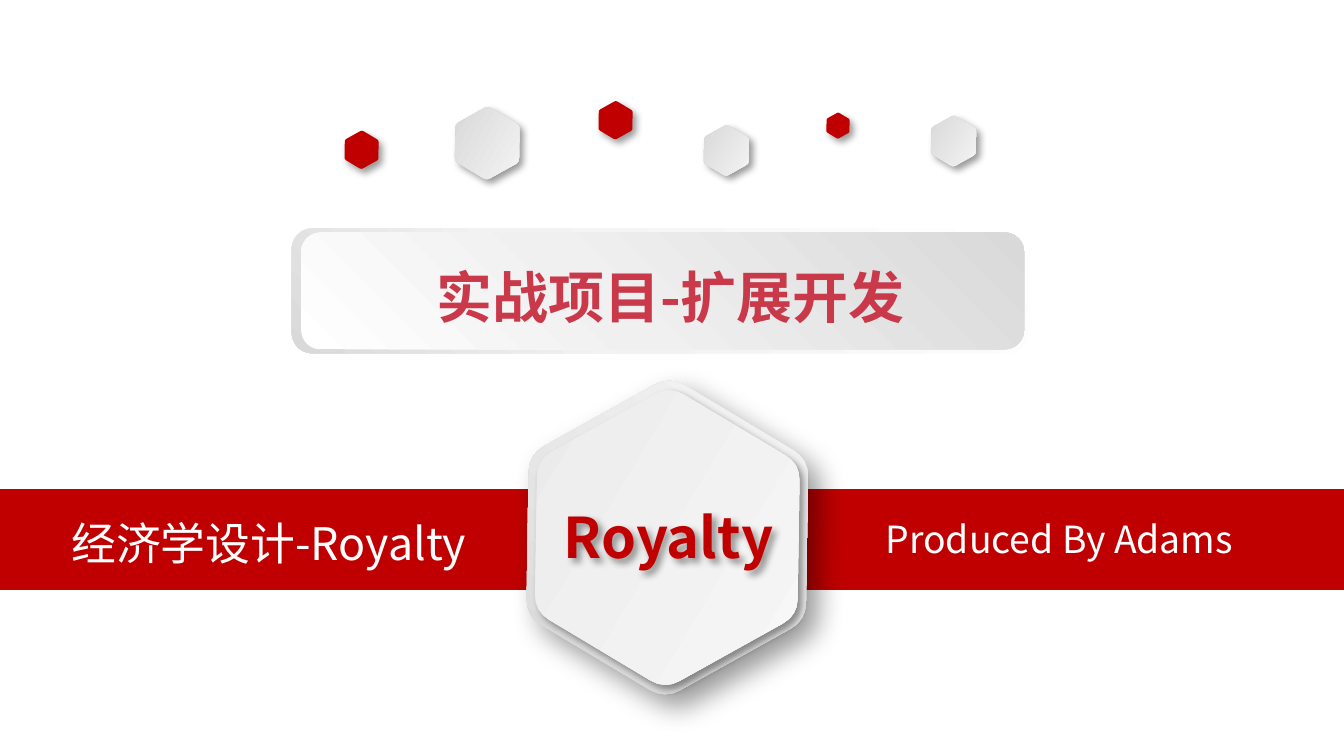
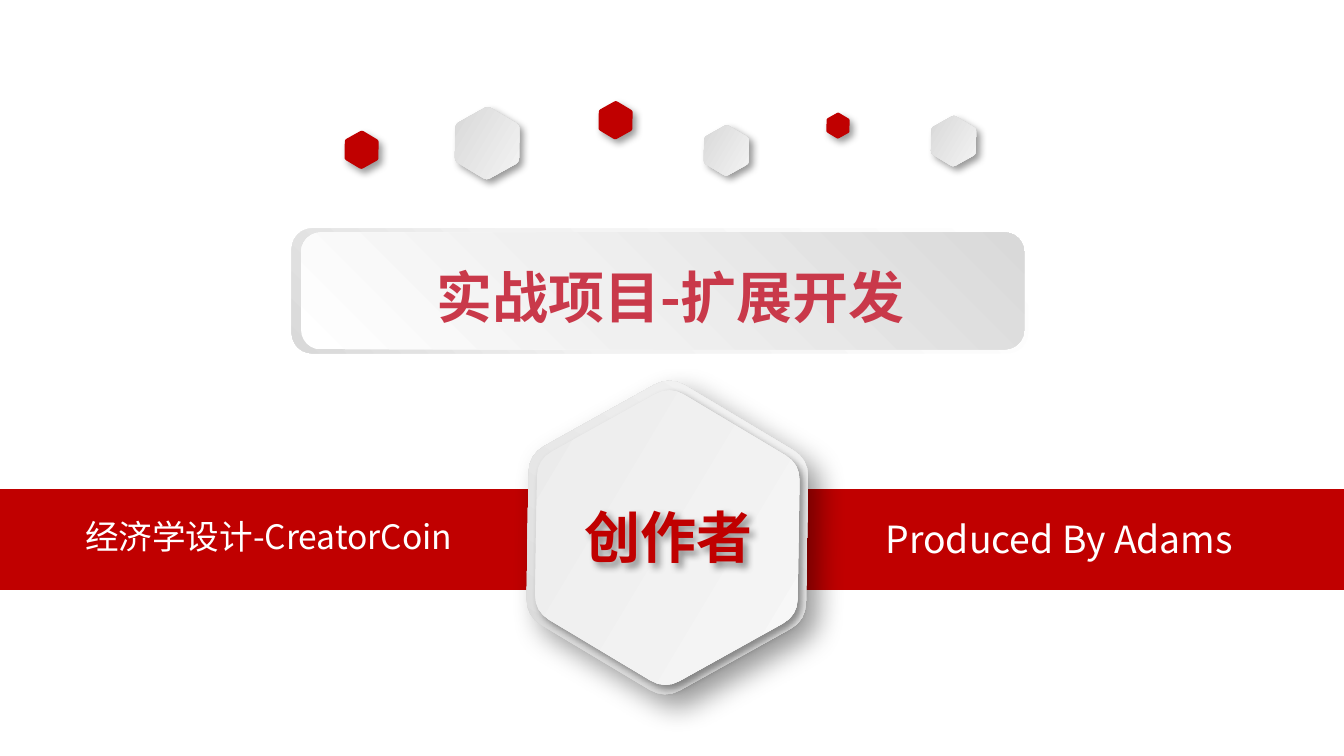
from math import cos, radians, sin, sqrt

from lxml import etree
from pptx import Presentation
from pptx.dml.color import RGBColor
from pptx.enum.shapes import MSO_SHAPE
from pptx.enum.text import MSO_ANCHOR, MSO_AUTO_SIZE, PP_ALIGN
from pptx.oxml import parse_xml
from pptx.oxml.ns import nsdecls, qn
from pptx.util import Inches, Pt

RECT, ROUND = MSO_SHAPE.RECTANGLE, MSO_SHAPE.ROUNDED_RECTANGLE
LEFT, CENTER = PP_ALIGN.LEFT, PP_ALIGN.CENTER
TOP, MIDDLE = MSO_ANCHOR.TOP, MSO_ANCHOR.MIDDLE

FONT = "Noto Sans CJK SC"
RED = RGBColor(0xC0, 0x00, 0x00)
ROSE = RGBColor(0xC9, 0x39, 0x4A)
WHITE = RGBColor(0xFF, 0xFF, 0xFF)
PALE = RGBColor(0xF9, 0xF9, 0xF9)
MIST = RGBColor(0xF2, 0xF2, 0xF2)
FOG = RGBColor(0xF0, 0xF0, 0xF0)
CLOUD = RGBColor(0xE9, 0xE9, 0xE9)
ASH = RGBColor(0xD9, 0xD9, 0xD9)
GREY = RGBColor(0xD3, 0xD3, 0xD3)

# Gradients: clockwise angle, then (percent, colour) stops
SILVER = (0, [(0, GREY), (100, PALE)])
RIM = (270, [(0, GREY), (100, PALE)])
FACE = (0, [(0, CLOUD), (100, PALE)])
FRAME = (135, [(0, WHITE), (62, MIST), (100, ASH)])
PLATE = (315, [(0, WHITE), (42, FOG), (100, ASH)])

# Shadows: blur and distance in points
SOFT, DEEP = (4, 3), (15, 9)

deck = Presentation()
deck.slide_width, deck.slide_height = Inches(10), Inches(5.625)
U = deck.slide_width // 100  # square grid, 100 columns wide

# Rounded hexagon of width 1 around the origin
TILT = 30.9
SIDE = 0.9 / sqrt(3)
TRIM = 0.11  # share of a side lost to each rounded corner
tips = [(SIDE * cos(radians(a)), SIDE * sin(radians(a)))
        for a in range(0, 360, 60)]
RING = []
for i, tip in enumerate(tips):
    start, end = [[t + (n - t) * TRIM for t, n in zip(tip, near)]
                  for near in (tips[i - 1], tips[(i + 1) % 6])]
    for s in (0, 0.25, 0.5, 0.75, 1):
        RING.append([(1 - s) ** 2 * a + 2 * s * (1 - s) * t + s * s * b
                     for a, t, b in zip(start, tip, end)])

# Column, row and width of each hexagon, with fill and shadow
HEXES = [
    (36.25, 10.65, 5.3, SILVER, SOFT),
    (45.8, 8.95, 2.8, RED, SOFT),
    (26.9, 11.15, 2.8, RED, SOFT),
    (54.05, 11.2, 3.7, SILVER, SOFT),
    (62.35, 9.35, 1.9, RED, SOFT),
    (70.95, 10.5, 3.7, SILVER, SOFT),
    (49.65, 40, 23.1, RIM, DEEP),
    (49.65, 40, 21.7, FACE, SOFT),
]


def paint(shape, fill=None, shade=None):
    """Set fill and shadow, without an outline."""
    shape.line.fill.background()
    shape.shadow.inherit = False
    props = shape._element.spPr
    shape.fill.background()
    if isinstance(fill, RGBColor):
        shape.fill.solid()
        shape.fill.fore_color.rgb = fill
    elif fill:
        turn, stops = fill
        marks = "".join(f'<a:gs pos="{p * 1000}"><a:srgbClr val="{c}"/></a:gs>'
                        for p, c in stops)
        props.replace(props.find(qn("a:noFill")), parse_xml(
            f'<a:gradFill {nsdecls("a")} rotWithShape="1"><a:gsLst>{marks}'
            f'</a:gsLst><a:lin ang="{turn * 60000}" scaled="0"/></a:gradFill>'))
    if shade:
        blur, dist = map(Pt, shade)
        props.find(qn("a:effectLst")).append(parse_xml(
            f'<a:outerShdw {nsdecls("a")} blurRad="{blur}" dist="{dist}" '
            'dir="2700000" algn="tl" rotWithShape="0"><a:srgbClr val="000000">'
            '<a:alpha val="40000"/></a:srgbClr></a:outerShdw>'))


def write(shape, text, size, color, bold=False, align=CENTER, anchor=TOP):
    """Put one styled line of text into a shape."""
    frame = shape.text_frame
    frame.text = text
    frame.word_wrap = True
    frame.auto_size = MSO_AUTO_SIZE.NONE
    frame.vertical_anchor = anchor
    line = frame.paragraphs[0]
    line.alignment = align
    font = line.font
    font.size, font.bold, font.name = Pt(size), bold, FONT
    font.color.rgb = color
    etree.SubElement(font._rPr, qn("a:ea"), typeface=FONT)


# Per slide: topic, its size and box height, badge word
SLIDES = [
    ("经济学设计-Royalty", 24, 5, "Royalty"),
    ("经济学设计-CreatorCoin", 18, 4, "创作者"),
]

for topic, size, tall, word in SLIDES:
    slide = deck.slides.add_slide(deck.slide_layouts[5])
    shapes = slide.shapes

    # Red band with topic and author
    band = shapes.add_shape(RECT, 0, 36.4 * U, 100 * U, 7.5 * U)
    paint(band, RED)
    box = shapes.add_textbox(2.4 * U, 37.9 * U, 35.2 * U, tall * U)
    write(box, topic, size, WHITE)
    box = shapes.add_textbox(64.9 * U, 37.9 * U, 35 * U, 4.4 * U)
    write(box, "Produced By Adams", 20, WHITE, align=LEFT)

    # Hexagons: scattered row and large badge
    for col, row, wide, fill, shade in HEXES:
        dots = [((col + x * wide) * U, (row + y * wide) * U) for x, y in RING]
        pen = shapes.build_freeform(*dots[0])
        pen.add_line_segments(dots[1:], close=True)
        tile = pen.convert_to_shape()
        tile.rotation = TILT
        paint(tile, fill, shade)

    # Title banner
    for x, y, w, h, fill in [(21.7, 17, 54.8, 9.3, FRAME),
                             (22.4, 17.3, 53.8, 8.7, PLATE)]:
        paint(shapes.add_shape(ROUND, x * U, y * U, w * U, h * U), fill)
    title = shapes.title
    title.left, title.top = int(22.5 * U), 19 * U
    title.width, title.height = int(54.8 * U), 6 * U
    write(title, "实战项目-扩展开发", 30, ROSE, bold=True)
    shapes._spTree.append(title._element)  # bring above the banner

    # Badge word
    badge = shapes.add_shape(ROUND, 39.9 * U, 37.4 * U, 19.7 * U, 5 * U)
    paint(badge, shade=SOFT)
    write(badge, word, 30, RED, bold=True, anchor=MIDDLE)

deck.save("out.pptx")
